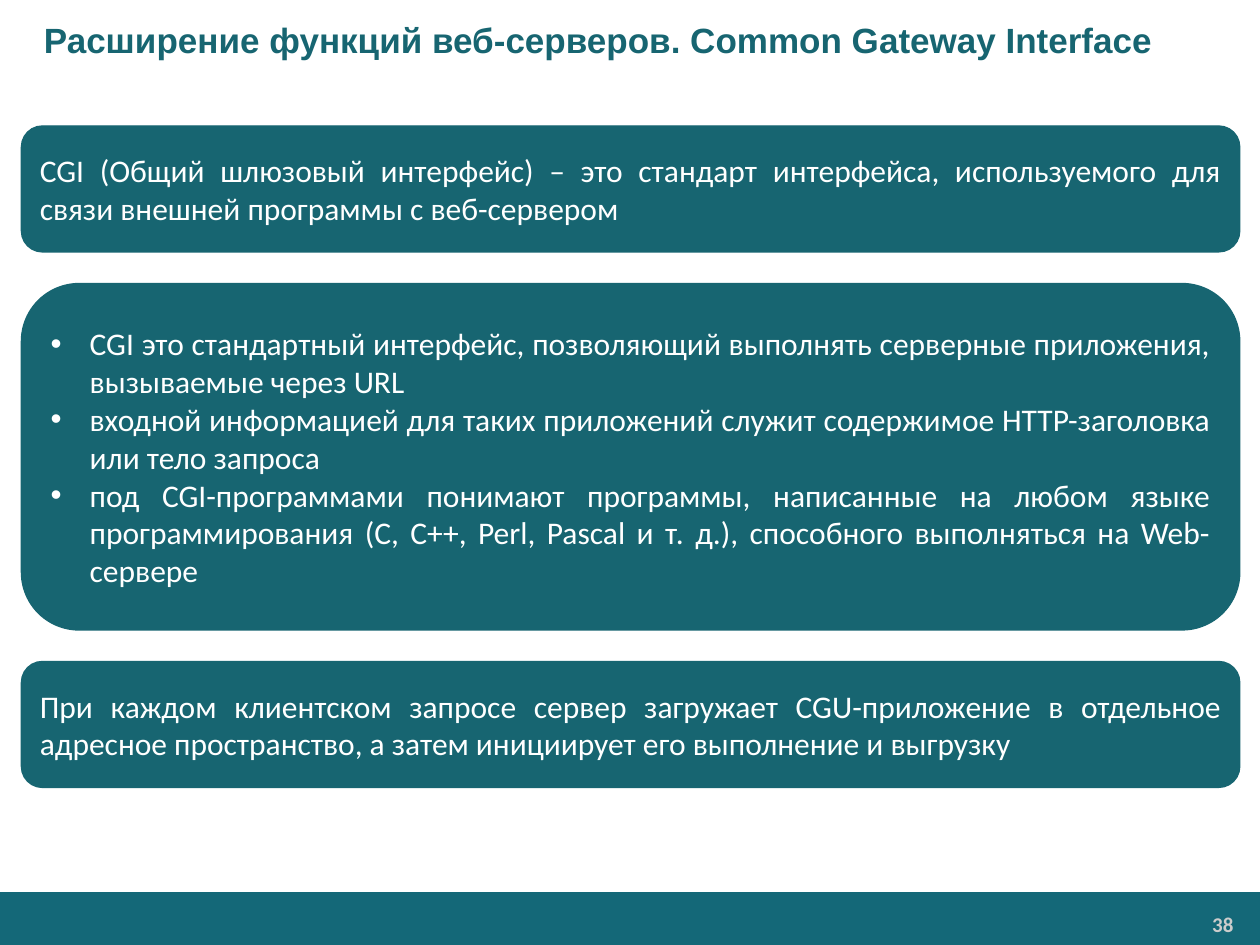
"""Build a slide on the Common Gateway Interface with three stacked cards."""
from lxml import etree
from pptx import Presentation
from pptx.dml.color import RGBColor
from pptx.enum import shapes, text
from pptx.oxml.ns import qn
from pptx.util import Inches, Pt

COLORS = {"card": "176571", "footer": "146878", "light": "FFFFFF", "number": "CCCCCC"}
TITLE = "Расширение функций веб-серверов. Common Gateway Interface"
PAGE_NUMBER = "38"
CARDS = [
    {"height": 1, "lines": [
        "CGI (Общий шлюзовый интерфейс) – это стандарт интерфейса, используемого "
        "для связи внешней программы с веб-сервером"]},
    {"height": 2.75, "bullet": "•", "indent": 0.31, "lines": [
        "CGI это стандартный интерфейс, позволяющий выполнять серверные приложения, "
        "вызываемые через URL",
        "входной информацией для таких приложений служит содержимое HTTP-заголовка "
        "или тело запроса",
        "под CGI-программами понимают программы, написанные на любом языке "
        "программирования (С, C++, Perl, Pascal и т. д.), способного выполняться "
        "на Web-сервере"]},
    {"height": 1, "lines": [
        "При каждом клиентском запросе сервер загружает CGU-приложение в отдельное "
        "адресное пространство, а затем инициирует его выполнение и выгрузку"]},
]
CARD_LEFT, CARD_TOP, CARD_WIDTH, CARD_GAP = 0.17, 1, 9.67, 0.25


def write(holder, lines, size=18, font="Calibri", color="light", bold=False,
          align=text.PP_ALIGN.JUSTIFY, indent=0, bullet=None):
    """Fill a shape with formatted paragraphs."""
    frame = holder.text_frame
    frame.word_wrap = True
    frame.vertical_anchor = text.MSO_ANCHOR.MIDDLE
    for index, line in enumerate(lines):
        paragraph = frame.paragraphs[0] if index == 0 else frame.add_paragraph()
        paragraph.alignment = align
        properties = paragraph._p.get_or_add_pPr()
        properties.set("marL", str(Inches(indent)))
        if bullet:
            properties.set("indent", str(-Inches(indent)))
            etree.SubElement(properties, qn("a:buFont"), typeface="Arial")
            etree.SubElement(properties, qn("a:buChar"), char=bullet)
        run = paragraph.add_run()
        run.text = line
        run.font.size, run.font.name, run.font.bold = Pt(size), font, bold
        run.font.color.rgb = RGBColor.from_string(COLORS[color])


def add_panel(slide, preset, box, color):
    """Add a flat shape in one colour."""
    panel = slide.shapes.add_shape(preset, *map(Inches, box))
    panel.shadow.inherit = False
    panel.fill.solid()
    panel.fill.fore_color.rgb = RGBColor.from_string(COLORS[color])
    panel.line.color.rgb = RGBColor.from_string(COLORS[color])
    panel.line.width = Pt(0.75)
    return panel


def main():
    """Assemble and save the slide."""
    deck = Presentation()
    deck.slide_width, deck.slide_height = Inches(10), Inches(7.5)
    slide = deck.slides.add_slide(deck.slide_layouts[6])

    footer = add_panel(slide, shapes.MSO_SHAPE.RECTANGLE, (0, 7.08, 10, 0.42), "footer")
    footer.line.fill.background()
    number = slide.shapes.add_textbox(*map(Inches, (8.23, 7.19, 1.63, 0.28)))
    frame = number.text_frame
    frame.margin_left = frame.margin_right = Inches(0.07)
    frame.margin_top = frame.margin_bottom = Inches(0.04)
    write(number, [PAGE_NUMBER], size=12, color="number", bold=True,
          align=text.PP_ALIGN.RIGHT)

    heading = slide.shapes.add_textbox(*map(Inches, (0, 0, 10, 0.63)))
    write(heading, [TITLE], size=20, font="Arial", color="card", bold=True,
          align=text.PP_ALIGN.LEFT, indent=0.25)

    top = CARD_TOP
    for content in CARDS:
        card = add_panel(slide, shapes.MSO_SHAPE.ROUNDED_RECTANGLE,
                         (CARD_LEFT, top, CARD_WIDTH, content["height"]), "card")
        write(card, content["lines"], indent=content.get("indent", 0),
              bullet=content.get("bullet"))
        top += content["height"] + CARD_GAP

    deck.save("out.pptx")


if __name__ == "__main__":
    main()
